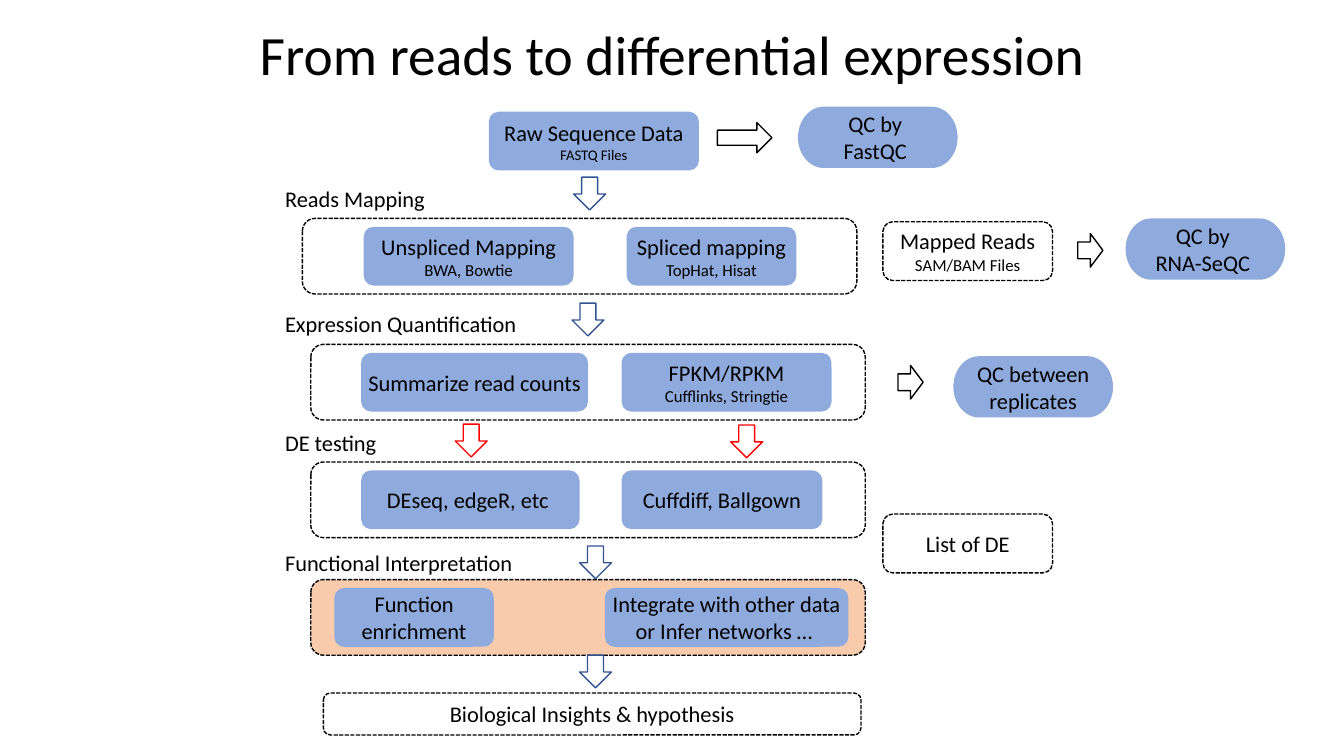
from dataclasses import dataclass
from pptx import Presentation
from pptx.dml.color import RGBColor
from pptx.enum.dml import MSO_LINE
from pptx.enum.shapes import MSO_SHAPE
from pptx.enum.text import MSO_ANCHOR, PP_ALIGN
from pptx.util import Inches, Pt

ROUND = MSO_SHAPE.ROUNDED_RECTANGLE
PILL = MSO_SHAPE.FLOWCHART_TERMINATOR
DOWN = MSO_SHAPE.DOWN_ARROW
RIGHT = MSO_SHAPE.RIGHT_ARROW
DASH = MSO_LINE.SQUARE_DOT
MID = MSO_ANCHOR.MIDDLE
LEFT, CENTER = PP_ALIGN.LEFT, PP_ALIGN.CENTER

WIDE, HIGH = Inches(13.33), Inches(7.5)
COLS, ROWS = 160, 90


@dataclass(frozen=True)
class Theme:
    font: str = "Calibri"
    ink: str = "000000"
    card: str = "8FAADC"
    peach: str = "F8CBAD"
    blue: str = "325491"
    red: str = "FF0000"
    title: float = 39.6
    body: float = 16
    note: float = 12
    small: float = 10.5


THEME = Theme()


def place(box):
    """Turn columns and rows into slide lengths."""
    x, y, w, h = box
    return [int(n) for n in (x * WIDE / COLS, y * HIGH / ROWS,
                             w * WIDE / COLS, h * HIGH / ROWS)]


def write(frame, lines, align=CENTER):
    """Write (text, size) pairs, one paragraph each."""
    frame.word_wrap = True
    frame.vertical_anchor = MID
    for i, (text, size) in enumerate(lines):
        para = frame.add_paragraph() if i else frame.paragraphs[0]
        para.alignment = align
        run = para.add_run()
        run.text = text
        run.font.name = THEME.font
        run.font.size = Pt(size)
        run.font.color.rgb = RGBColor.from_string(THEME.ink)


def draw(slide, kind, box, fill=None, line=None, dash=None):
    shape = slide.shapes.add_shape(kind, *place(box))
    shape.shadow.inherit = False
    if fill:
        shape.fill.solid()
        shape.fill.fore_color.rgb = RGBColor.from_string(fill)
    else:
        shape.fill.background()
    if line:
        shape.line.color.rgb = RGBColor.from_string(line)
        shape.line.width = Pt(1)
        if dash:
            shape.line.dash_style = dash
    else:
        shape.line.fill.background()
    return shape


def tight(shape, lines, align=CENTER):
    frame = shape.text_frame
    frame.margin_left = frame.margin_right = 0
    frame.margin_top = frame.margin_bottom = 0
    write(frame, lines, align)


def body(*texts):
    return [(text, THEME.body) for text in texts]


def pair(head, note, size=THEME.note):
    return [(head, THEME.body), (note, size)]


def title(slide, box, text):
    area = slide.shapes.add_textbox(*place(box))
    write(area.text_frame, [(text, THEME.title)])
    area.text_frame.paragraphs[0].line_spacing = 0.9


def card(slide, box, lines):
    tight(draw(slide, ROUND, box, THEME.card), lines)


def panel(slide, box, lines):
    tight(draw(slide, ROUND, box, None, THEME.ink, DASH), lines)


def check(slide, x, y, lines):
    """Quality check pill."""
    write(draw(slide, PILL, (x, y, 19, 7.3), THEME.card).text_frame, lines)


def stage(slide, box, name, gap, cards, fill=None):
    """Dashed frame, its label above it and its cards inside it."""
    x, y, w, h = box
    draw(slide, ROUND, box, fill, THEME.ink, DASH)
    label = draw(slide, ROUND, (33.6, y - gap, 33.1, h - 2))
    tight(label, body(name), LEFT)
    for left, wide, lines in cards:
        card(slide, (x + left, y + 1, wide, h - 2), lines)


def stages(slide, x, y, w, h):
    stage(slide, (x - 1, y, w, h), "Reads Mapping", 5.8, [
        (7.3, 25, pair("Unspliced Mapping", "BWA, Bowtie")),
        (38.6, 20.2, pair("Spliced mapping", "TopHat, Hisat"))])
    stage(slide, (x, y + 15, w, h), "Expression Quantification", 6, [
        (6, 27, body("Summarize read counts")),
        (37, 25, pair("FPKM/RPKM", "Cufflinks, Stringtie"))])
    stage(slide, (x, y + 29, w, h), "DE testing", 5.8, [
        (6, 26, body("DEseq, edgeR, etc ")),
        (37, 23.9, body("Cuffdiff, Ballgown"))])
    stage(slide, (x, y + 43, w, h), "Functional Interpretation", 5.5, [
        (2.8, 19, body("Function enrichment")),
        (35, 29, body("Integrate with other data or Infer networks … "))],
        THEME.peach)


def arrows(slide):
    # Steps down the flow
    for x, y, tone in ((68.3, 21.1, THEME.blue), (68.1, 36.1, THEME.blue),
                       (54.2, 50.5, THEME.red), (87, 50.6, THEME.red),
                       (69, 65, THEME.blue), (69, 78, THEME.blue)):
        draw(slide, DOWN, (x, y, 3.8, 3.9), None, tone)
    # Steps out to the checks
    draw(slide, RIGHT, (85.4, 14.6, 6.5, 3.6), None, THEME.ink)
    for x, y in ((127.8, 28.3), (106.4, 44)):
        draw(slide, DOWN, (x, y, 4, 3), None, THEME.ink).rotation = 270


def main():
    deck = Presentation()
    deck.slide_width, deck.slide_height = WIDE, HIGH
    slide = deck.slides.add_slide(deck.slide_layouts[6])

    title(slide, (26, -0.6, 108, 15), "From reads to differential expression")

    # Input and pipeline
    card(slide, (58.2, 13.3, 25, 7),
         pair("Raw Sequence Data", "FASTQ Files", THEME.small))
    stages(slide, 37, 26, 66, 9)

    # Results
    panel(slide, (105.1, 26.4, 20.2, 7),
          pair("Mapped Reads", "SAM/BAM Files"))
    panel(slide, (105.1, 61.2, 20.2, 7), body("List of DE"))
    panel(slide, (38.5, 82.5, 64, 5),
          body("Biological Insights & hypothesis"))

    # Quality checks
    check(slide, 95, 12.7, body("QC by ", "FastQC "))
    check(slide, 134, 26, body("QC by ", "RNA-SeQC "))
    check(slide, 113.5, 42.4, body("QC between", "replicates"))

    arrows(slide)
    deck.save("out.pptx")


if __name__ == "__main__":
    main()
